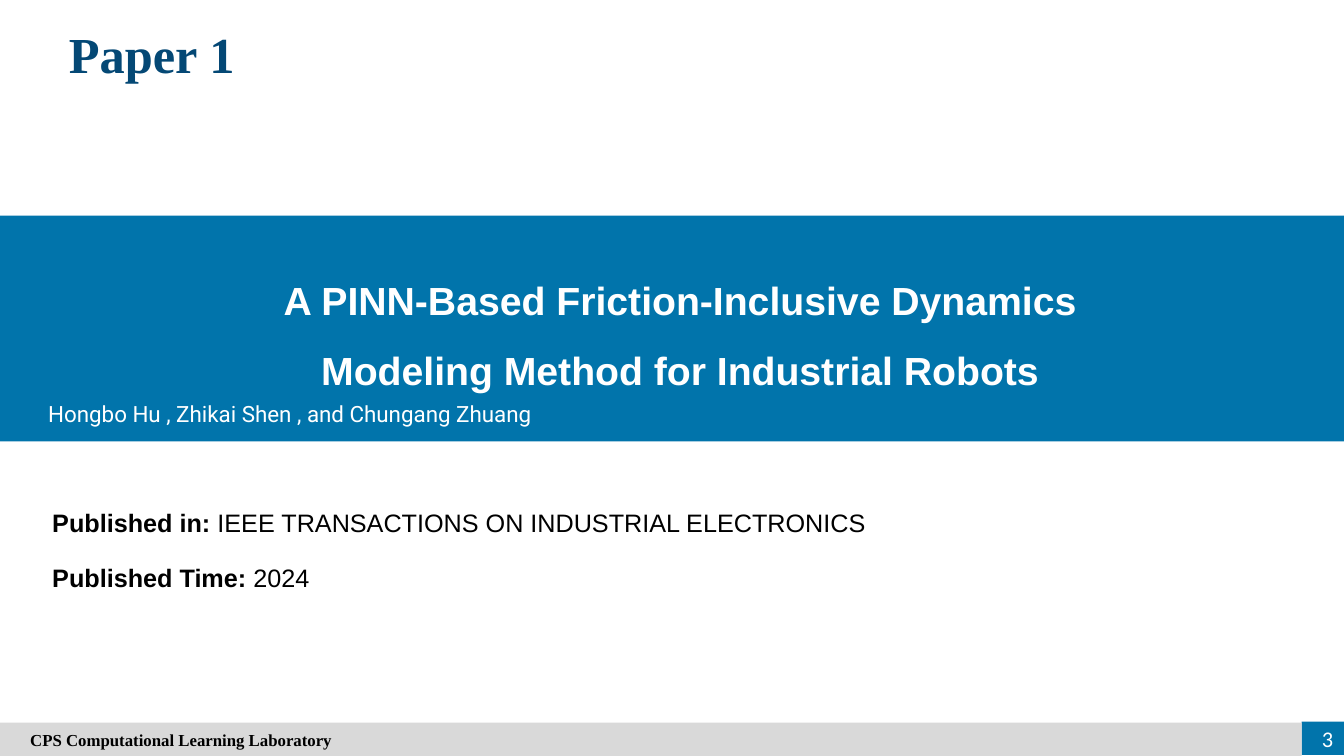
"""Builds the slide that introduces Paper 1."""
import pptx
import pptx.dml.color
import pptx.enum.shapes
import pptx.enum.text
import pptx.util

Inches = pptx.util.Inches
Align = pptx.enum.text.PP_ALIGN
Anchor = pptx.enum.text.MSO_ANCHOR
BLUE, WHITE, BLACK = "0174AB", "FFFFFF", "000000"


def color(code):
    """Turn a hex string into a colour."""
    return pptx.dml.color.RGBColor.from_string(code)


def style(para, face, size, tint, bold=False, align=Align.LEFT):
    """Set the font and alignment of a paragraph."""
    para.alignment = align
    font = para.font
    font.name, font.size, font.bold = face, pptx.util.Pt(size), bold
    font.color.rgb = color(tint)


def add_bar(slide, box, fill):
    """Add a plain filled rectangle."""
    kind = pptx.enum.shapes.MSO_SHAPE.RECTANGLE
    bar = slide.shapes.add_shape(kind, *map(Inches, box))
    bar.shadow.inherit = False
    bar.fill.solid()
    bar.fill.fore_color.rgb = color(fill)
    bar.line.fill.background()
    return bar


def add_text(slide, box, lines, *look, anchor=Anchor.TOP, space=1.0, **more):
    """Add a text box with one paragraph per line."""
    frame = slide.shapes.add_textbox(*map(Inches, box)).text_frame
    frame.word_wrap = True
    frame.vertical_anchor = anchor
    frame.text = "\n".join(lines)
    for para in frame.paragraphs:
        para.line_spacing = space
        style(para, *look, **more)


def add_fact(slide, top, label, value):
    """Add a bold label followed by its value."""
    box = slide.shapes.add_textbox(*map(Inches, (0.42, top, 12.07, 0.4)))
    para = box.text_frame.paragraphs[0]
    style(para, "Arial", 18, BLACK)
    head = para.add_run()
    head.text = label
    head.font.bold = True
    para.add_run().text = " " + value


def add_footer(slide):
    """Add the laboratory bar and the page number."""
    add_bar(slide, (12.91, 7.16, 0.42, 0.33), BLUE)
    bar = add_bar(slide, (0, 7.17, 12.91, 0.33), "D9D9D9")
    frame = bar.text_frame
    frame.margin_left = Inches(0.3)
    frame.vertical_anchor = Anchor.MIDDLE
    frame.text = "CPS Computational Learning Laboratory"
    style(frame.paragraphs[0], "Times New Roman", 12, BLACK, True)
    add_text(slide, (12.69, 7.13, 0.63, 0.4), ["3"], "Calibri", 16, WHITE,
             anchor=Anchor.MIDDLE, align=Align.RIGHT)


def main():
    """Build and save the slide."""
    deck = pptx.Presentation()
    deck.slide_width, deck.slide_height = Inches(13.33), Inches(7.5)
    slide = deck.slides.add_slide(deck.slide_layouts[6])
    add_bar(slide, (0, 2.14, 13.33, 2.24), BLUE)
    title = ["A PINN-Based Friction-Inclusive Dynamics",
             "Modeling Method for Industrial Robots"]
    add_text(slide, (-0.58, 2.45, 14.65, 1.51), title, "Arial", 28, WHITE,
             True, Align.CENTER, anchor=Anchor.MIDDLE, space=1.5)
    add_fact(slide, 4.98, "Published in:",
             "IEEE TRANSACTIONS ON INDUSTRIAL ELECTRONICS")
    add_fact(slide, 5.53, "Published Time:", "2024")
    add_text(slide, (0.38, 0.18, 2.25, 0.71), ["Paper 1"],
             "Times New Roman", 36, "044875", True, Align.CENTER)
    add_text(slide, (0.38, 3.92, 9.08, 0.4),
             ["Hongbo Hu , Zhikai Shen , and Chungang Zhuang"],
             "Roboto", 16, WHITE)
    add_footer(slide)
    deck.save("out.pptx")


if __name__ == "__main__":
    main()
